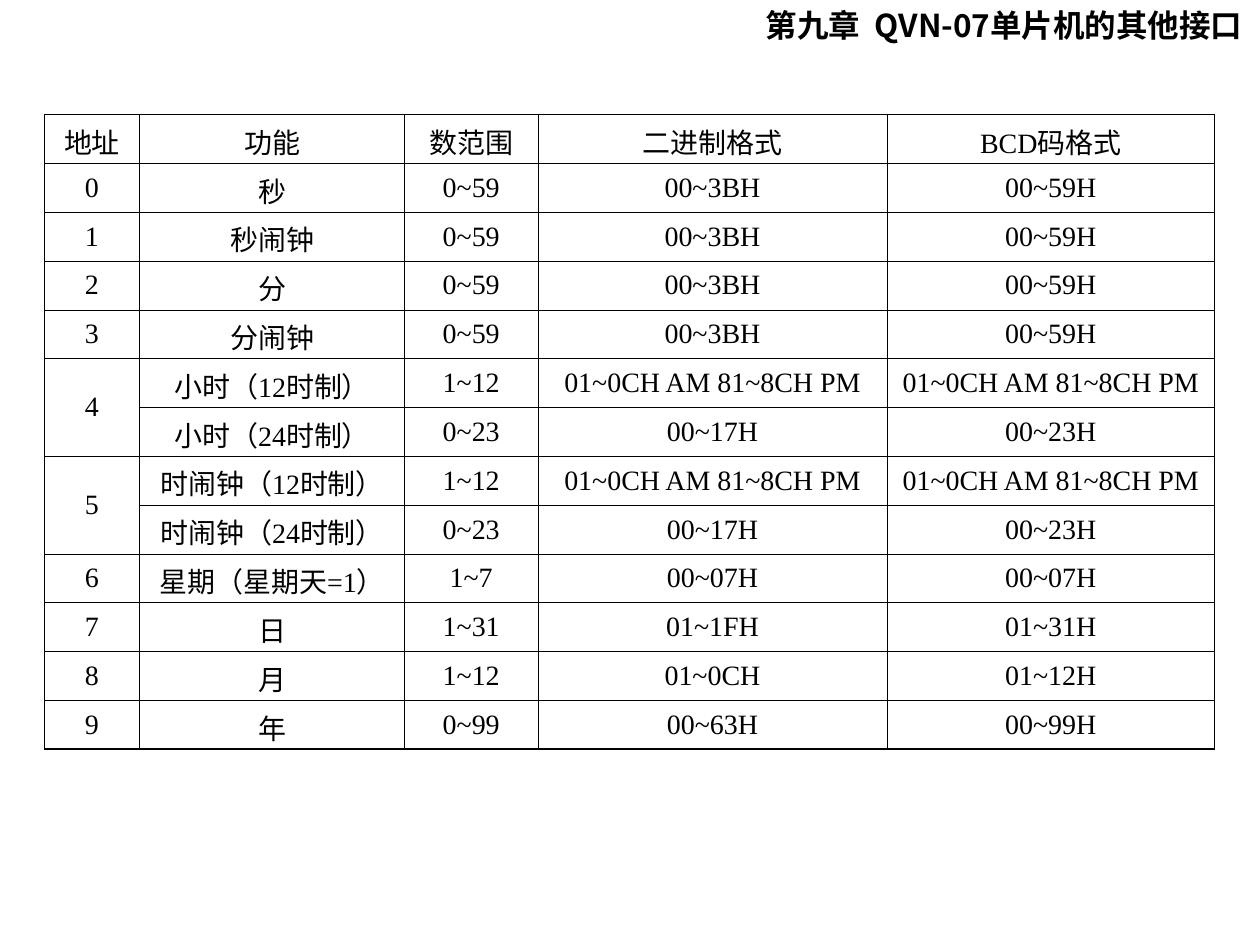
import pptx
import pptx.dml.color
import pptx.enum.text
import pptx.oxml.ns
import pptx.util
import lxml.etree

SLIDE_WIDTH, SLIDE_HEIGHT = 10, 7.5
COLORS = {"ink": "000000"}
FONTS = {"title": "Noto Sans CJK JP", "table": "Times New Roman"}
TABLE_LEFT, TABLE_TOP, TABLE_HEIGHT = 0.35, 0.91, 5.04
COLUMN_WIDTHS = [0.76, 2.1, 1.06, 2.77, 2.6]
BORDERS = {"inner": 0.45, "side": 0.34, "edge": 0.96}

# An empty address continues the cell above it
CLOCK_REGISTERS = [
    ("地址", "功能", "数范围", "二进制格式", "BCD码格式"),
    ("0", "秒", "0~59", "00~3BH", "00~59H"),
    ("1", "秒闹钟", "0~59", "00~3BH", "00~59H"),
    ("2", "分", "0~59", "00~3BH", "00~59H"),
    ("3", "分闹钟", "0~59", "00~3BH", "00~59H"),
    ("4", "小时（12时制）", "1~12", "01~0CH AM 81~8CH PM", "01~0CH AM 81~8CH PM"),
    ("", "小时（24时制）", "0~23", "00~17H", "00~23H"),
    ("5", "时闹钟（12时制）", "1~12", "01~0CH AM 81~8CH PM", "01~0CH AM 81~8CH PM"),
    ("", "时闹钟（24时制）", "0~23", "00~17H", "00~23H"),
    ("6", "星期（星期天=1）", "1~7", "00~07H", "00~07H"),
    ("7", "日", "1~31", "01~1FH", "01~31H"),
    ("8", "月", "1~12", "01~0CH", "01~12H"),
    ("9", "年", "0~99", "00~63H", "00~99H"),
]


def add_child(parent, tag, **attributes):
    return lxml.etree.SubElement(parent, pptx.oxml.ns.qn(tag), attributes)


def format_runs(paragraph, font_name, size, bold=False):
    for run in paragraph.runs:
        run.font.name = font_name
        run.font.size = pptx.util.Pt(size)
        run.font.bold = bold
        run.font.color.rgb = pptx.dml.color.RGBColor.from_string(COLORS["ink"])
        # East Asian glyphs come from the title face
        add_child(run.font._element, "a:ea", typeface=FONTS["title"])


def add_chapter_title(slide, text):
    left = 0.598 * SLIDE_WIDTH
    box = slide.shapes.add_textbox(
        pptx.util.Inches(left), 0,
        pptx.util.Inches(SLIDE_WIDTH - left), pptx.util.Inches(0.7))
    box.text_frame.word_wrap = True
    box.text_frame.text = text
    format_runs(box.text_frame.paragraphs[0], FONTS["title"], 18, bold=True)


def set_borders(cell, widths):
    properties = cell._tc.get_or_add_tcPr()
    for position, (side, width) in enumerate(widths.items()):
        line = add_child(properties, f"a:ln{side}", w=str(pptx.util.Pt(width)))
        fill = add_child(line, "a:solidFill")
        add_child(fill, "a:srgbClr", val=COLORS["ink"])
        properties.remove(line)
        properties.insert(position, line)


def fill_cell(cell, text):
    cell.fill.background()
    cell.vertical_anchor = pptx.enum.text.MSO_ANCHOR.MIDDLE
    # Narrow side margins keep the weekday label on one line
    cell.margin_left = cell.margin_right = pptx.util.Inches(0.08)
    cell.margin_top = cell.margin_bottom = pptx.util.Inches(0.05)
    cell.text_frame.text = text
    paragraph = cell.text_frame.paragraphs[0]
    paragraph.alignment = pptx.enum.text.PP_ALIGN.CENTER
    format_runs(paragraph, FONTS["table"], 16)


def add_register_table(slide, rows):
    last_row, last_column = len(rows) - 1, len(COLUMN_WIDTHS) - 1
    frame = slide.shapes.add_table(
        len(rows), len(COLUMN_WIDTHS),
        pptx.util.Inches(TABLE_LEFT), pptx.util.Inches(TABLE_TOP),
        pptx.util.Inches(sum(COLUMN_WIDTHS)), pptx.util.Inches(TABLE_HEIGHT))
    table = frame.table
    table.first_row = table.horz_banding = False
    for column, width in zip(table.columns, COLUMN_WIDTHS):
        column.width = pptx.util.Inches(width)

    for r, row in enumerate(rows):
        for c, text in enumerate(row):
            cell = table.cell(r, c)
            fill_cell(cell, text)
            set_borders(cell, {
                "L": BORDERS["side" if c == 0 else "inner"],
                "R": BORDERS["side" if c == last_column else "inner"],
                "T": BORDERS["edge" if r == 0 else "inner"],
                "B": BORDERS["edge" if r == last_row else "inner"],
            })
        if not row[0]:
            table.cell(r - 1, 0).merge(table.cell(r, 0))


def main():
    presentation = pptx.Presentation()
    presentation.slide_width = pptx.util.Inches(SLIDE_WIDTH)
    presentation.slide_height = pptx.util.Inches(SLIDE_HEIGHT)
    slide = presentation.slides.add_slide(presentation.slide_layouts[6])
    add_chapter_title(slide, "第九章  QVN-07单片机的其他接口")
    add_register_table(slide, CLOCK_REGISTERS)
    presentation.save("out.pptx")


if __name__ == "__main__":
    main()
